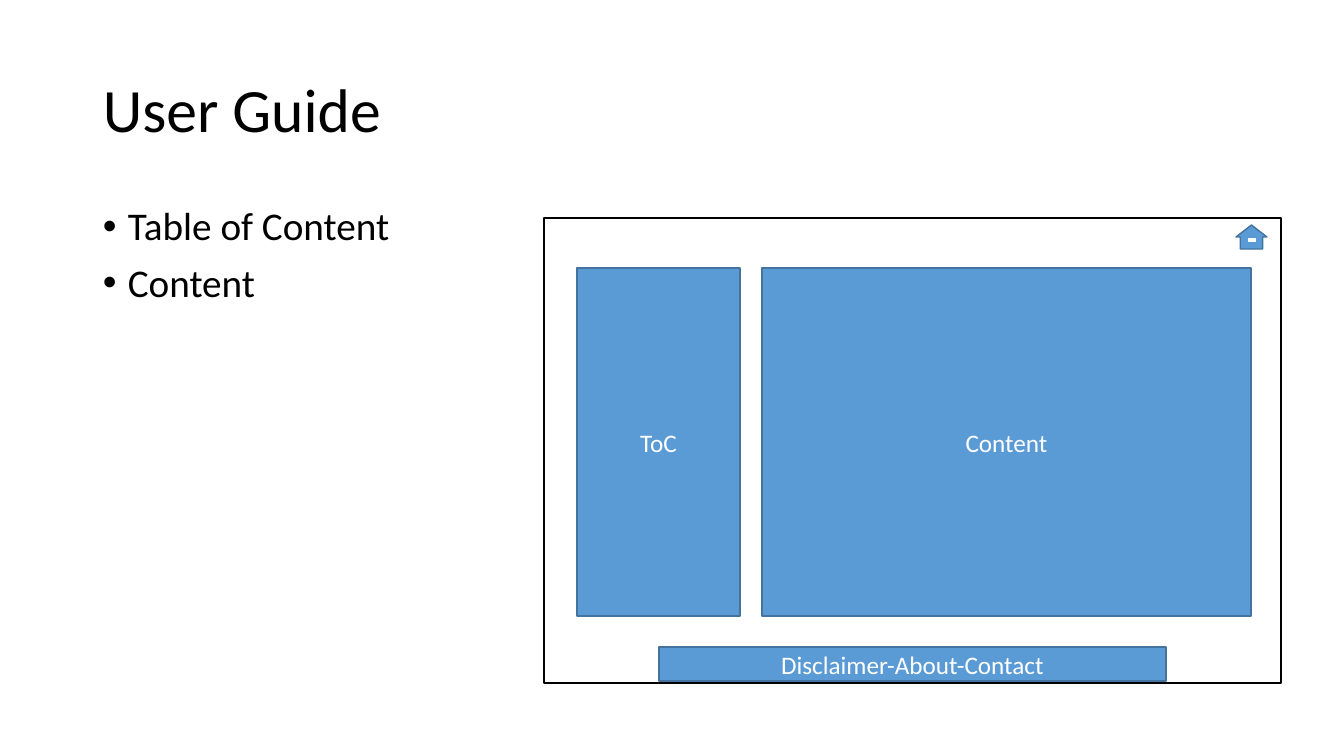
from dataclasses import dataclass

from lxml import etree
from pptx import Presentation
from pptx.dml.color import RGBColor
from pptx.enum.shapes import MSO_SHAPE
from pptx.enum.text import MSO_ANCHOR, PP_ALIGN
from pptx.oxml.ns import qn
from pptx.util import Inches, Pt

TITLE = "User Guide"
BULLETS = ["Table of Content", "Content"]

# Boxes are (left, top, width, height) in pixels.
TITLE_BOX = (93, 40, 1159, 146)
BULLET_BOX = (93, 202, 379, 480)
PAGE_FRAME = (544, 218, 737, 465)
PANEL_TOP, PANEL_HEIGHT = 268, 348
PANELS = [
    ("Disclaimer-About-Contact", (659, 647, 507, 34)),
    ("ToC", (577, PANEL_TOP, 163, PANEL_HEIGHT)),
    ("Content", (762, PANEL_TOP, 489, PANEL_HEIGHT)),
]
HOME_HOUSE = (1236, 225, 31, 24)
HOME_WINDOW = (1247, 237, 10, 6)
BULLET_INDENT = 25


@dataclass(frozen=True)
class Theme:
    """Colours, font and type sizes of the slide."""
    font: str = "Calibri"
    ink: str = "000000"
    paper: str = "FFFFFF"
    accent: str = "5B9BD5"
    outline: str = "43739E"
    title_size: int = 44
    bullet_size: int = 28
    label_size: int = 18


THEME = Theme()


def px(pixels):
    """Turn pixels into EMU."""
    return round(pixels * Inches(1) / 100.8)


def write(paragraph, text, size, color):
    """Add one styled run to a paragraph."""
    run = paragraph.add_run()
    run.text = text
    run.font.name = THEME.font
    run.font.size = Pt(size)
    run.font.color.rgb = RGBColor.from_string(color)


def add_bullet(paragraph):
    """Give a paragraph a hanging round bullet."""
    props = paragraph._p.get_or_add_pPr()
    props.set("marL", str(px(BULLET_INDENT)))
    props.set("indent", str(-px(BULLET_INDENT)))
    etree.SubElement(props, qn("a:buFont")).set("typeface", "Arial")
    etree.SubElement(props, qn("a:buChar")).set("char", "•")


def add_text(slide, box, lines, size, anchor, bulleted=False):
    """Add a text box with one paragraph per line."""
    frame = slide.shapes.add_textbox(*map(px, box)).text_frame
    frame.word_wrap = True
    frame.vertical_anchor = anchor
    for number, line in enumerate(lines):
        paragraph = frame.add_paragraph() if number else frame.paragraphs[0]
        paragraph.line_spacing = 0.9
        if bulleted:
            paragraph.space_before = Pt(10)
            add_bullet(paragraph)
        write(paragraph, line, size, THEME.ink)


def add_block(shapes, box, fill, line, label="", kind=MSO_SHAPE.RECTANGLE):
    """Add a filled, outlined shape with an optional centred label."""
    block = shapes.add_shape(kind, *map(px, box))
    block.shadow.inherit = False
    block.fill.solid()
    block.fill.fore_color.rgb = RGBColor.from_string(fill)
    block.line.color.rgb = RGBColor.from_string(line)
    block.line.width = Pt(1)
    if label:
        block.text_frame.word_wrap = True
        block.text_frame.vertical_anchor = MSO_ANCHOR.MIDDLE
        paragraph = block.text_frame.paragraphs[0]
        paragraph.alignment = PP_ALIGN.CENTER
        write(paragraph, label, THEME.label_size, THEME.paper)
    return block


def add_home_icon(slide):
    """Add the grouped house icon."""
    icon = slide.shapes.add_group_shape()
    house = add_block(icon.shapes, HOME_HOUSE, THEME.accent, THEME.outline,
                      kind=MSO_SHAPE.UP_ARROW)
    house.adjustments[0], house.adjustments[1] = 0.72, 0.5
    add_block(icon.shapes, HOME_WINDOW, THEME.paper, THEME.accent)


def main():
    """Build and save the slide."""
    deck = Presentation()
    deck.slide_width, deck.slide_height = px(1344), px(756)
    slide = deck.slides.add_slide(deck.slide_layouts[6])
    add_text(slide, TITLE_BOX, [TITLE], THEME.title_size, MSO_ANCHOR.MIDDLE)
    add_text(slide, BULLET_BOX, BULLETS, THEME.bullet_size, MSO_ANCHOR.TOP,
             bulleted=True)
    add_block(slide.shapes, PAGE_FRAME, THEME.paper, THEME.ink)
    for label, box in PANELS:
        add_block(slide.shapes, box, THEME.accent, THEME.outline, label)
    add_home_icon(slide)
    deck.save("out.pptx")


main()
